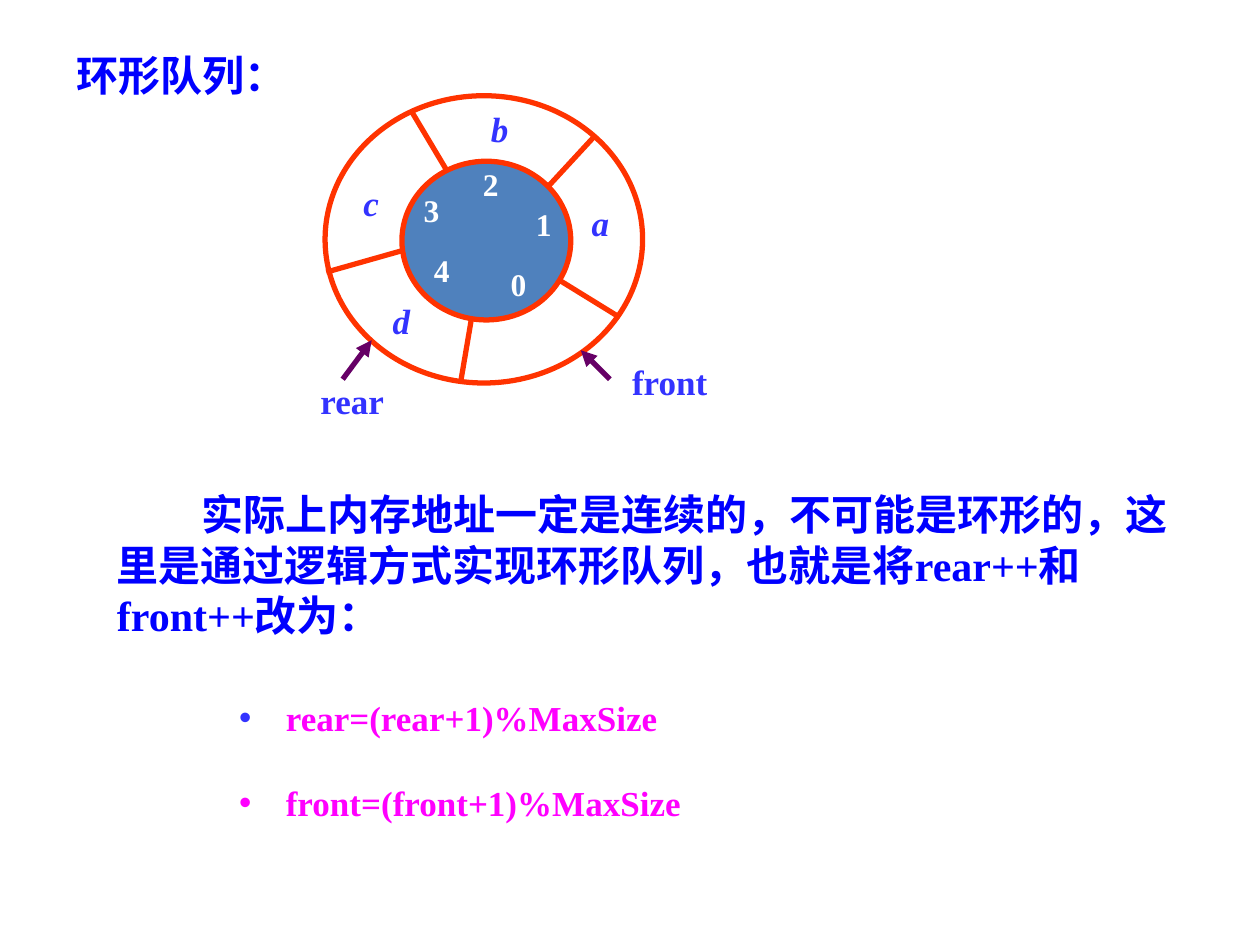
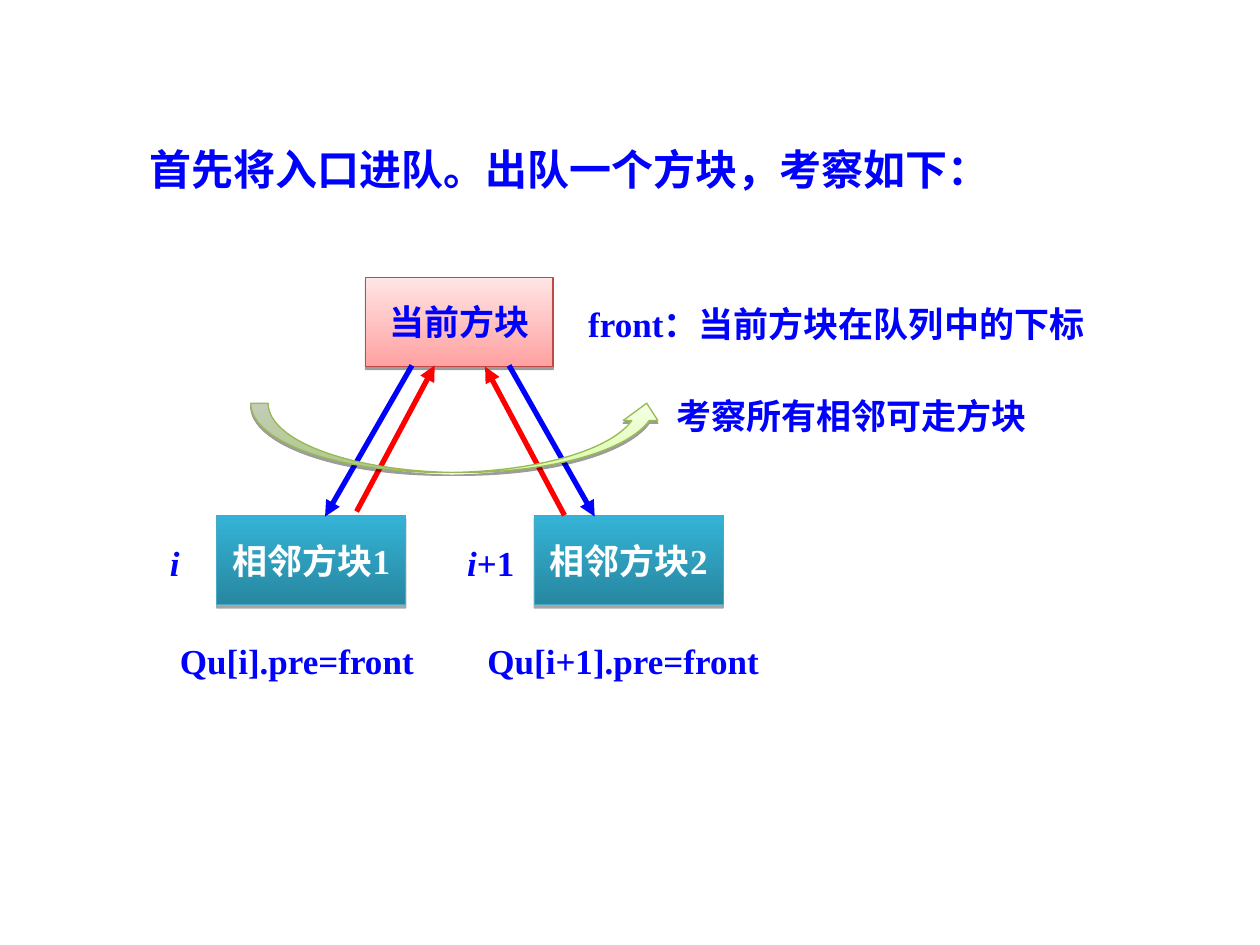
from lxml import etree
from pptx import Presentation
from pptx.dml.color import RGBColor
from pptx.enum.shapes import MSO_CONNECTOR, MSO_SHAPE as Preset
from pptx.enum.text import MSO_ANCHOR as Anchor, PP_ALIGN as Align
from pptx.oxml.ns import qn
from pptx.util import Inches, Pt

FONT = "Times New Roman"
COLORS = {
    "blue": "0000FF", "label": "3333FF", "code": "FF00FF", "white": "FFFFFF",
    "ring": "FF3300", "core": "4F81BD", "pointer": "660066", "red": "FF0000",
}
CURRENT_STYLE = {"stops": ("FFA2A1", "FFE5E5"), "line": "BE4B48", "alpha": 38, "drop": 1.6}
NEIGHBOUR_STYLE = {"stops": ("2787A0", "34B3D6"), "line": "46AAC5", "alpha": 35, "drop": 1.8}
SWEEP_STYLE = {"stops": ("DAFDA7", "F5FFE6"), "line": "98B954", "alpha": 38, "drop": 1.6}


def rgb(name):
    """Turn a palette name or a hex string into a colour."""
    return RGBColor.from_string(COLORS.get(name, name))


def add_run(paragraph, text, size, color, italic=False):
    """Append one bold run."""
    run = paragraph.add_run()
    run.text = text
    font = run.font
    font.name, font.size, font.bold, font.italic = FONT, Pt(size), True, italic
    font.color.rgb = rgb(color)


def add_frame(slide, left, top, width, height, inset=True):
    """Add a wrapping text box and return its text frame."""
    frame = slide.shapes.add_textbox(*map(Inches, (left, top, width, height))).text_frame
    frame.word_wrap = True
    if not inset:
        frame.margin_left = frame.margin_right = frame.margin_top = frame.margin_bottom = 0
    return frame


def add_text(slide, box, text, size=20, color="blue"):
    """Add a left-aligned one-paragraph text and return the paragraph."""
    paragraph = add_frame(slide, *box).paragraphs[0]
    add_run(paragraph, text, size, color)
    return paragraph


def add_label(slide, left, top, text, width=0.31, size=20, color="label", italic=False):
    """Add a centred label without margins."""
    paragraph = add_frame(slide, left, top, width, size / 60, inset=False).paragraphs[0]
    paragraph.alignment = Align.CENTER
    add_run(paragraph, text, size, color, italic)


def add_line(slide, start, end, color, arrow=False):
    """Draw a straight 3-point line, with an arrowhead at its end if asked."""
    line = slide.shapes.add_connector(MSO_CONNECTOR.STRAIGHT, *map(Inches, (*start, *end)))
    line.line.width = Pt(3)
    line.line.color.rgb = rgb(color)
    properties = line._element.spPr
    if arrow:
        etree.SubElement(properties.find(qn("a:ln")), qn("a:tailEnd"), type="triangle")
    etree.SubElement(properties, qn("a:effectLst"))


def add_ring_oval(slide, left, top, width, height, fill=None):
    """Draw one outlined oval of the ring."""
    oval = slide.shapes.add_shape(Preset.OVAL, *map(Inches, (left, top, width, height)))
    oval.shadow.inherit = False
    if fill:
        oval.fill.solid()
        oval.fill.fore_color.rgb = rgb(fill)
    else:
        oval.fill.background()
    oval.line.width = Pt(3)
    oval.line.color.rgb = rgb("ring")


def add_glossy(slide, preset, box, style):
    """Add a shape with a vertical gradient and a hard drop shadow."""
    shape = slide.shapes.add_shape(preset, *map(Inches, box))
    shape.fill.gradient()
    shape.fill.gradient_angle = 90
    for stop, color in zip(shape.fill.gradient_stops, style["stops"]):
        stop.color.rgb = rgb(color)
    shape.line.width = Pt(0.75)
    shape.line.color.rgb = rgb(style["line"])
    shape.shadow.inherit = False
    effects = shape._element.spPr.find(qn("a:effectLst"))
    shadow = etree.SubElement(effects, qn("a:outerShdw"), blurRad="0",
                              dist=str(int(Pt(style["drop"]))), dir="5400000", rotWithShape="0")
    black = etree.SubElement(shadow, qn("a:srgbClr"), val="000000")
    etree.SubElement(black, qn("a:alpha"), val=str(style["alpha"] * 1000))
    return shape


def add_block(slide, box, text, style, color):
    """Add a glossy rectangle with a centred caption."""
    frame = add_glossy(slide, Preset.RECTANGLE, box, style).text_frame
    frame.word_wrap = False
    frame.vertical_anchor = Anchor.MIDDLE
    paragraph = frame.paragraphs[0]
    paragraph.alignment = Align.CENTER
    add_run(paragraph, text, 20, color)


def set_indent(paragraph, margin, first):
    """Set the left margin and first-line indent of a paragraph."""
    properties = paragraph._p.get_or_add_pPr()
    properties.set("marL", str(Inches(margin)))
    properties.set("indent", str(Inches(first)))
    return properties


def draw_ring_queue(slide, left, top):
    """Draw the ring with its cells, indexes and the two pointers."""
    def at(x, y):
        return left + x, top + y

    add_ring_oval(slide, *at(0.79, 0.52), 1.34, 1.26, "core")
    add_ring_oval(slide, *at(0.18, 0), 2.52, 2.28)
    spokes = [((2.05, 1.47), (2.52, 1.76)), ((1.96, 0.71), (2.32, 0.32)),
              ((0.87, 0.13), (1.15, 0.6)), ((1.34, 1.78), (1.26, 2.25)),
              ((0.19, 1.4), (0.79, 1.23))]
    for inner, outer in spokes:
        add_line(slide, at(*inner), at(*outer), "ring")
    indexes = [(1.56, 1.34), (1.76, 0.87), (1.34, 0.55), (0.87, 0.76), (0.95, 1.23)]
    for index, place in enumerate(indexes):
        add_label(slide, *at(*place), str(index), size=18, color="white")
    cells = [(2.21, 0.84), (1.41, 0.09), (0.39, 0.68), (0.63, 1.62)]
    for element, place in zip("abcd", cells):
        add_label(slide, *at(*place), element, italic=True)
    pointers = [("front", (2.52, 2.1), (2.44, 2.25), (2.21, 2.02)),
                ("rear", (0, 2.25), (0.32, 2.25), (0.55, 1.94))]
    for name, place, start, end in pointers:
        add_line(slide, at(*start), at(*end), "pointer", arrow=True)
        add_label(slide, *at(*place), name, width=0.79)


def add_formulas(slide, box):
    """List the two modular increments."""
    frame = add_frame(slide, *box)
    formulas = [("rear=(rear+1)%MaxSize", "label"), ("front=(front+1)%MaxSize", "code")]
    for row, (formula, bullet_color) in enumerate(formulas):
        paragraph = frame.add_paragraph() if row else frame.paragraphs[0]
        properties = set_indent(paragraph, 0.37, -0.37)
        tint = etree.SubElement(properties, qn("a:buClr"))
        etree.SubElement(tint, qn("a:srgbClr"), val=COLORS[bullet_color])
        etree.SubElement(properties, qn("a:buFont"), typeface="Arial")
        etree.SubElement(properties, qn("a:buChar"), char="•")
        paragraph.line_spacing = 1.5
        if row:
            paragraph.space_before = Pt(12.5)
        add_run(paragraph, formula, 20, "code")


def add_neighbour(slide, left, top, number, index, index_box, code, code_box):
    """Draw a neighbouring block with its queue index and predecessor code."""
    add_block(slide, (left, top, 1.5, 0.71), f"相邻方块{number}", NEIGHBOUR_STYLE, "white")
    shift, width = index_box
    paragraph = add_frame(slide, left + shift, top + 0.16, width, 0.44).paragraphs[0]
    add_run(paragraph, index[0], 20, "blue", italic=True)
    if index[1:]:
        add_run(paragraph, index[1:], 20, "blue")
    shift, width = code_box
    add_text(slide, (left + shift, top + 0.94, width, 0.44), code)


def draw_search_step(slide, left, top):
    """Draw the current block, its neighbours and the links between them."""
    def at(x, y):
        return left + x, top + y

    add_block(slide, (*at(1.65, 0), 1.49, 0.71), "当前方块", CURRENT_STYLE, "blue")
    add_text(slide, (*at(3.32, 0.15), 4.22, 0.44), "front：当前方块在队列中的下标")
    add_neighbour(slide, *at(0.47, 1.89), 1, "i", (-0.47, 0.31),
                  "Qu[i].pre=front", (-0.39, 2.21))
    add_neighbour(slide, *at(2.99, 1.89), 2, "i+1", (-0.63, 0.63),
                  "Qu[i+1].pre=front", (-0.47, 2.52))
    links = [((2.02, 0.7), (1.33, 1.9), "blue"), ((2.79, 0.7), (3.47, 1.9), "blue"),
             ((1.58, 1.86), (2.2, 0.7), "red"), ((3.23, 1.89), (2.6, 0.71), "red")]
    for start, end, color in links:
        add_line(slide, at(*start), at(*end), color, arrow=True)
    add_glossy(slide, Preset.CURVED_UP_ARROW, (*at(0.74, 1), 3.28, 0.55), SWEEP_STYLE)
    add_text(slide, (*at(4.02, 0.88), 3.13, 0.44), "考察所有相邻可走方块")


def build_ring_slide(slide):
    """Fill the slide on the ring queue."""
    draw_ring_queue(slide, 2.4, 0.76)
    passage = add_text(
        slide, (0.83, 3.83, 8.7, 1.3),
        "实际上内存地址一定是连续的，不可能是环形的，这里是通过逻辑方式实现环形队列，"
        "也就是将rear++和front++改为：", size=24)
    set_indent(passage, 0, 0.67)
    add_formulas(slide, (1.8, 5.31, 5.31, 1.28))
    add_text(slide, (0.51, 0.34, 2.99, 0.5), "环形队列：", size=24)


def build_search_slide(slide):
    """Fill the slide on the queue-based search."""
    add_text(slide, (1.09, 1.09, 7.03, 0.5), "首先将入口进队。出队一个方块，考察如下：", size=24)
    draw_search_step(slide, 1.25, 2.2)


def main():
    """Build both slides and save them."""
    deck = Presentation()
    deck.slide_width, deck.slide_height = Inches(10), Inches(7.5)
    for build in (build_ring_slide, build_search_slide):
        build(deck.slides.add_slide(deck.slide_layouts[6]))
    deck.save("out.pptx")


if __name__ == "__main__":
    main()
